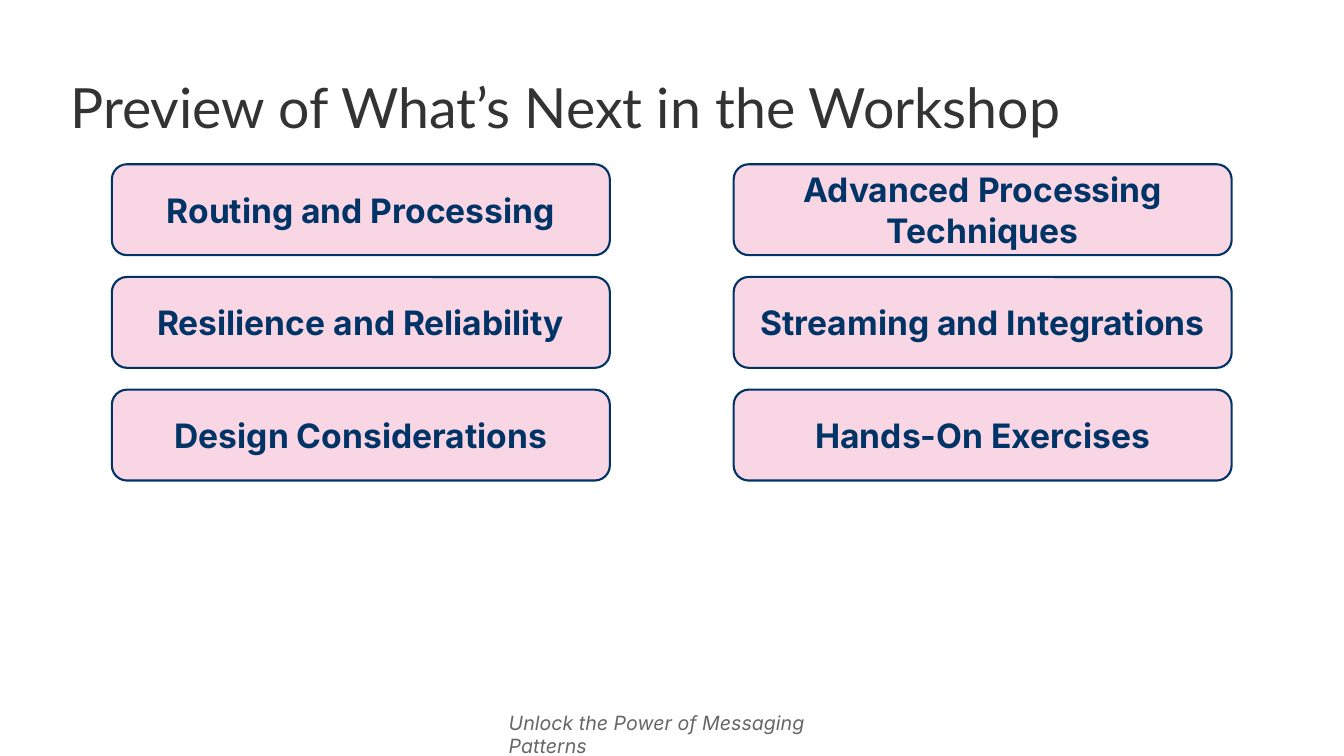
from pptx import Presentation
from pptx.dml.color import RGBColor
from pptx.enum.shapes import MSO_SHAPE
from pptx.enum.text import MSO_ANCHOR, MSO_AUTO_SIZE, PP_ALIGN
from pptx.oxml.ns import qn
from pptx.util import Cm, Pt
from lxml import etree

ROUNDED = MSO_SHAPE.ROUNDED_RECTANGLE
MIDDLE, TOP = MSO_ANCHOR.MIDDLE, MSO_ANCHOR.TOP
LEFT, CENTER = PP_ALIGN.LEFT, PP_ALIGN.CENTER

# Content
TITLE = "Preview of What’s Next in the Workshop"
TOPIC_ROWS = [
    ("Routing and Processing", "Advanced Processing Techniques"),
    ("Resilience and Reliability", "Streaming and Integrations"),
    ("Design Considerations", "Hands-On Exercises"),
]
FOOTER = "Unlock the Power of Messaging Patterns"

# Colours and card grid, in centimetres
NAVY, PINK, DARK, GREY = "003366", "DD3377", "333333", "666666"
PINK_OPACITY = 20
CARD_LEFT, CARD_TOP = 2.82, 4.14
CARD_WIDTH, CARD_HEIGHT = 12.55, 2.29
COLUMN_STEP, ROW_STEP = 15.67, 2.84


def colour(hex_string):
    return RGBColor.from_string(hex_string)


def write(shape, text, font_name, size, hex_colour, alignment, anchor,
          bold=False, italic=False):
    frame = shape.text_frame
    frame.text = text
    frame.word_wrap = True
    frame.auto_size = MSO_AUTO_SIZE.NONE
    frame.vertical_anchor = anchor
    paragraph = frame.paragraphs[0]
    paragraph.alignment = alignment
    font = paragraph.runs[0].font
    font.name, font.size = font_name, Pt(size)
    font.bold, font.italic = bold, italic
    font.color.rgb = colour(hex_colour)
    return paragraph


def add_card(slide, text, left, top):
    card = slide.shapes.add_shape(
        ROUNDED, Cm(left), Cm(top), Cm(CARD_WIDTH), Cm(CARD_HEIGHT))
    card.shadow.inherit = False
    card.fill.solid()
    card.fill.fore_color.rgb = colour(PINK)
    # Make the fill translucent
    fill_colour = card.fill._xPr.find(qn("a:solidFill"))[0]
    etree.SubElement(fill_colour, qn("a:alpha"), val=str(PINK_OPACITY * 1000))
    card.line.color.rgb = colour(NAVY)
    card.line.width = Pt(1.5)
    write(card, text, "Inter", 24, NAVY, CENTER, MIDDLE, bold=True)


def main():
    presentation = Presentation()
    presentation.slide_width, presentation.slide_height = Cm(33.87), Cm(19.05)
    slide = presentation.slides.add_slide(presentation.slide_layouts[5])

    # Footer
    footer = slide.shapes.add_textbox(Cm(12.57), Cm(17.78), Cm(8.69), Cm(0.86))
    write(footer, FOOTER, "Inter", 14, GREY, LEFT, TOP, italic=True)

    # Title
    title = slide.shapes.title
    title.left, title.top = Cm(1.52), Cm(1.27)
    title.width, title.height = Cm(30.84), Cm(3.05)
    heading = write(title, TITLE, "Lato", 39.6, DARK, LEFT, MIDDLE)
    heading.line_spacing = 0.9

    # Topic cards
    for row, topics in enumerate(TOPIC_ROWS):
        for column, topic in enumerate(topics):
            add_card(slide, topic, CARD_LEFT + column * COLUMN_STEP,
                     CARD_TOP + row * ROW_STEP)

    presentation.save("out.pptx")


if __name__ == "__main__":
    main()
